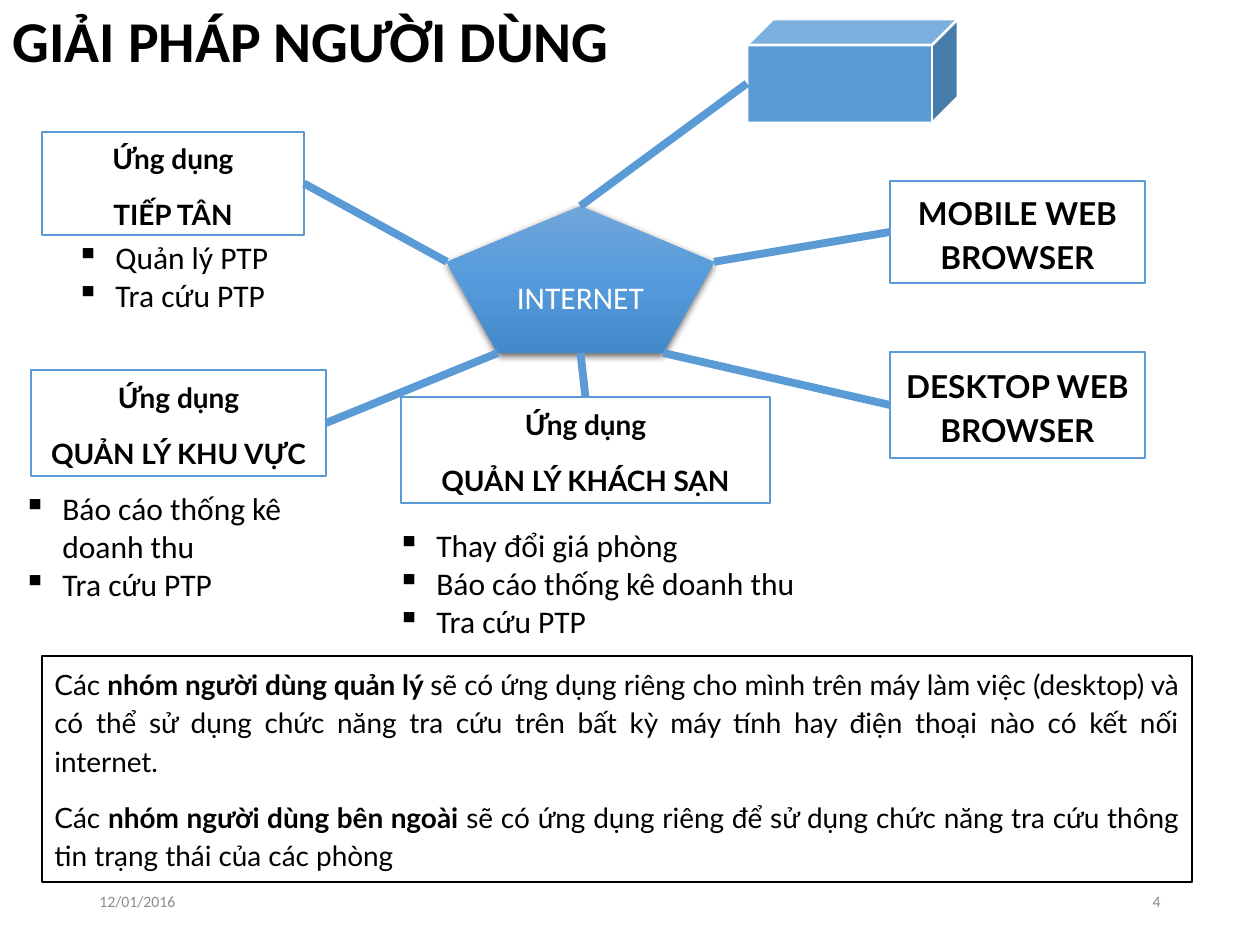
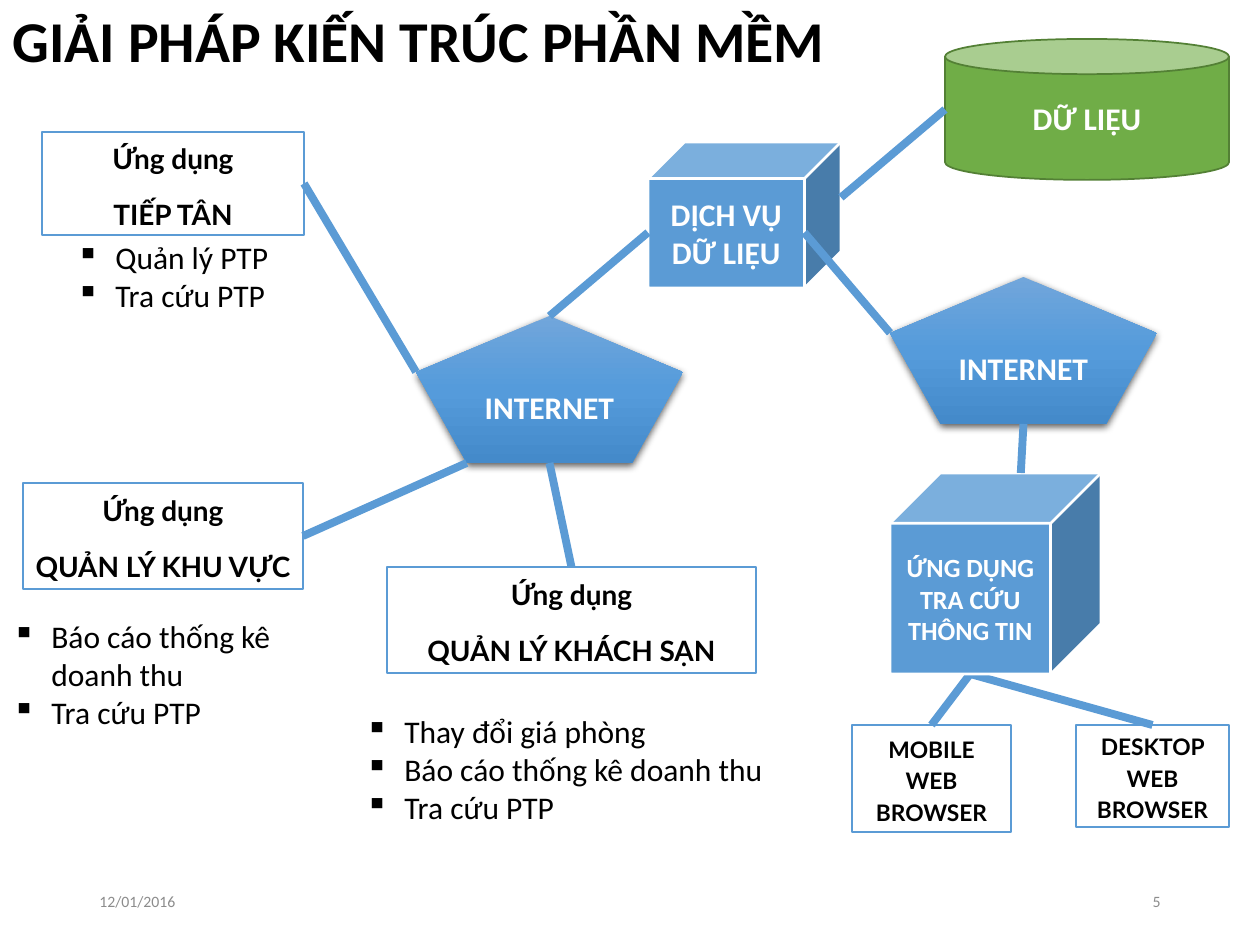
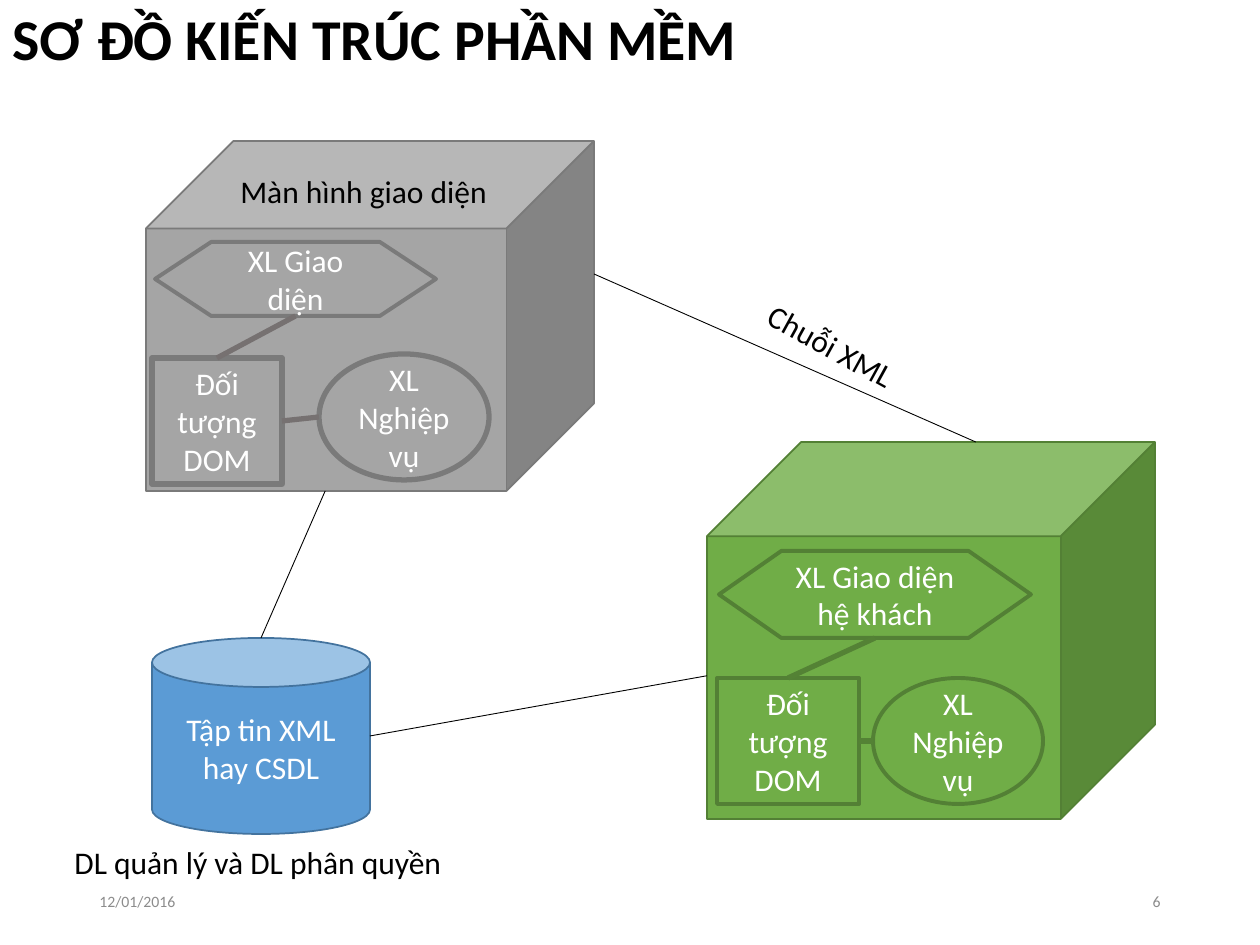
from collections import namedtuple

from lxml import etree
from pptx import Presentation
from pptx.dml.color import RGBColor
from pptx.enum.shapes import MSO_CONNECTOR, MSO_SHAPE
from pptx.enum.text import MSO_ANCHOR, MSO_AUTO_SIZE, PP_ALIGN
from pptx.oxml.ns import qn
from pptx.util import Pt

STRAIGHT = MSO_CONNECTOR.STRAIGHT
RECTANGLE, OVAL = MSO_SHAPE.RECTANGLE, MSO_SHAPE.OVAL
CUBE, CAN = MSO_SHAPE.CUBE, MSO_SHAPE.CAN
PENTAGON = MSO_SHAPE.REGULAR_PENTAGON
HEXAGON = MSO_SHAPE.FLOWCHART_PREPARATION
TOP, MIDDLE = MSO_ANCHOR.TOP, MSO_ANCHOR.MIDDLE
LEFT, CENTER = PP_ALIGN.LEFT, PP_ALIGN.CENTER
RIGHT, JUSTIFY = PP_ALIGN.RIGHT, PP_ALIGN.JUSTIFY
NO_FIT = MSO_AUTO_SIZE.NONE

BLACK = RGBColor(0x00, 0x00, 0x00)
WHITE = RGBColor(0xFF, 0xFF, 0xFF)
MUTED = RGBColor(0x8C, 0x8C, 0x8C)
BLUE = RGBColor(0x5B, 0x9B, 0xD5)
DARK_BLUE = RGBColor(0x43, 0x73, 0x9E)
GREEN = RGBColor(0x70, 0xAD, 0x47)
DARK_GREEN = RGBColor(0x53, 0x80, 0x35)
LINK_GREEN = RGBColor(0x54, 0x82, 0x35)
GRAY = RGBColor(0xA5, 0xA5, 0xA5)
DARK_GRAY = RGBColor(0x7A, 0x7A, 0x7A)
LINK_GRAY = RGBColor(0x76, 0x71, 0x71)
GLOSS = ((0, "71A6DB"), (50, "559BDB"), (100, "448ACA"))

BODY_FONT, CARD_FONT = "Calibri", "Lato"
SCALE = 914400 / 126
DATE = "12/01/2016"
BULLET_INDENT = 39

Box = namedtuple("Box", "left top width height")
Task = namedtuple("Task", "name duties")

RECEPTION = Task("TIẾP TÂN", ["Quản lý PTP", "Tra cứu PTP"])
AREA = Task("QUẢN LÝ KHU VỰC", ["Báo cáo thống kê doanh thu", "Tra cứu PTP"])
HOTEL = Task("QUẢN LÝ KHÁCH SẠN",
             ["Thay đổi giá phòng", "Báo cáo thống kê doanh thu", "Tra cứu PTP"])
MOBILE, DESKTOP = "MOBILE WEB BROWSER", "DESKTOP WEB BROWSER"


def emu(pixels):
    """Turn pixels into whole EMU."""
    return round(pixels * SCALE)


def place(box):
    """Give the four EMU lengths of a box."""
    return [emu(length) for length in box]


def site(box, across, down):
    """Give the point at these fractions of a box."""
    return box.left + box.width * across, box.top + box.height * down


def write(shape, paragraphs, size=18, font=BODY_FONT, color=BLACK, bold=False,
          align=LEFT, anchor=MIDDLE, line=None, gap=None, bullet=None, wrap=True):
    """Fill a shape with paragraphs; parts between asterisks are bold."""
    frame = shape.text_frame
    frame.word_wrap = wrap
    frame.auto_size = NO_FIT
    frame.vertical_anchor = anchor
    for index, text in enumerate(paragraphs):
        para = frame.add_paragraph() if index else frame.paragraphs[0]
        para.alignment = align
        if line:
            para.line_spacing = line
        if gap:
            para.space_before = para.space_after = Pt(gap)
        if bullet:
            properties = para._p.get_or_add_pPr()
            properties.set("marL", str(emu(BULLET_INDENT)))
            properties.set("indent", str(-emu(BULLET_INDENT)))
            etree.SubElement(properties, qn("a:buChar"), char=bullet)
        for part, words in enumerate(text.split("*")):
            if words:
                span = para.add_run()
                span.text = words
                span.font.size = Pt(size)
                span.font.name = font
                span.font.bold = bold or part % 2 == 1
                span.font.color.rgb = color


def label(page, box, paragraphs, **style):
    """Add a text box."""
    holder = page.shapes.add_textbox(*place(box))
    write(holder, paragraphs, **style)
    return holder


def solid(page, kind, box, fill, edge, weight, paragraphs=(), **style):
    """Add a filled and outlined shape with centred text."""
    shape = page.shapes.add_shape(kind, *place(box))
    shape.shadow.inherit = False
    shape.fill.solid()
    shape.fill.fore_color.rgb = fill
    shape.line.color.rgb = edge
    shape.line.width = Pt(weight)
    write(shape, paragraphs, **{"color": WHITE, "align": CENTER, **style})


def link(page, start, end, color=BLUE, weight=4.5):
    """Join two points with a straight line."""
    line = page.shapes.add_connector(STRAIGHT, *place(start + end))
    line.line.color.rgb = color
    line.line.width = Pt(weight)
    etree.SubElement(line._element.spPr, qn("a:effectLst"))


def card(page, box, paragraphs, size=16):
    """Add a white card with a blue edge."""
    solid(page, RECTANGLE, box, WHITE, BLUE, 1, paragraphs, size=size,
          font=CARD_FONT, color=BLACK, bold=True, line=1.15, gap=5)


def application(page, box, task, duties_box):
    """Add an application card and the list of its duties."""
    card(page, box, ["Ứng dụng", task.name])
    label(page, duties_box, task.duties, anchor=TOP, bullet="▪")


def blue_cube(page, box, paragraphs=(), size=18):
    """Add a blue cube with white edges."""
    solid(page, CUBE, box, BLUE, WHITE, 1.5, paragraphs, size=size, bold=True)


def internet(page, box, bold):
    """Add the glossy pentagon that stands for the network."""
    shape = page.shapes.add_shape(PENTAGON, *place(box))
    shape.line.fill.background()
    shape.fill.gradient()
    shape.fill.gradient_angle = 270
    properties = shape._element.spPr
    stops = properties.find(qn("a:gradFill")).find(qn("a:gsLst"))
    stops.clear()
    for position, color in GLOSS:
        stop = etree.SubElement(stops, qn("a:gs"), pos=str(position * 1000))
        etree.SubElement(stop, qn("a:srgbClr"), val=color)
    shape.shadow.inherit = False
    shadow = etree.SubElement(
        properties.find(qn("a:effectLst")), qn("a:outerShdw"), blurRad=str(Pt(4.5)),
        dist=str(Pt(1.5)), dir="5400000", algn="ctr", rotWithShape="0")
    tint = etree.SubElement(shadow, qn("a:srgbClr"), val="000000")
    etree.SubElement(tint, qn("a:alpha"), val="63000")
    write(shape, ["INTERNET"], color=WHITE, bold=bold, align=CENTER)


def module(page, box, parts, caption, fill, edge, link_color, weights):
    """Add a cube with its interface, object and business parts."""
    solid(page, CUBE, box, fill, edge, 1)
    screen, model, logic = [
        Box(box.left + part.left, box.top + part.top, part.width, part.height)
        for part in parts]
    rows = ((HEXAGON, screen, caption), (RECTANGLE, model, "Đối tượng DOM"),
            (OVAL, logic, "XL Nghiệp vụ"))
    for (kind, place_box, words), weight in zip(rows, weights):
        solid(page, kind, place_box, fill, edge, weight, [words])
    link(page, site(screen, 0.5, 1), site(model, 0.5, 0), link_color, 3)
    link(page, site(logic, 0, 0.5), site(model, 1, 0.5), link_color, 3)


def start_page(deck, title, number, title_box=Box(0, 3, 1086, 81)):
    """Add a slide with its title, date and number."""
    page = deck.slides.add_slide(deck.slide_layouts[5])
    heading = page.shapes.title
    heading.left, heading.top, heading.width, heading.height = place(title_box)
    write(heading, [title], size=33, bold=True, line=0.9)
    label(page, Box(87, 876, 283, 50), [DATE], size=9, color=MUTED)
    label(page, Box(890, 876, 283, 50), [str(number)], size=9, color=MUTED, align=RIGHT)
    return page


def user_page(deck):
    """Build the slide on the users' solution."""
    page = start_page(deck, "GIẢI PHÁP NGƯỜI DÙNG", 4)
    reception = Box(42, 132, 262, 103)
    area = Box(31, 370, 295, 106)
    hotel = Box(401, 397, 369, 106)
    mobile = Box(890, 181, 255, 102)
    desktop = Box(890, 352, 255, 106)
    network = Box(447, 206, 267, 147)
    server = Box(747, 19, 211, 104)
    application(page, reception, RECEPTION, Box(64, 232, 238, 89))
    application(page, area, AREA, Box(11, 483, 341, 127))
    application(page, hotel, HOTEL, Box(385, 520, 426, 127))
    solid(page, RECTANGLE, Box(42, 656, 1150, 226), WHITE, BLACK, 0.75, [
        "Các *nhóm người dùng quản lý *sẽ có ứng dụng riêng cho mình trên máy làm việc "
        "(desktop) và có thể sử dụng chức năng tra cứu trên bất kỳ máy tính hay điện "
        "thoại nào có kết nối internet.",
        "Các *nhóm người dùng bên ngoài *sẽ có ứng dụng riêng để sử dụng chức năng "
        "tra cứu thông tin trạng thái của các phòng"],
        size=16, font=CARD_FONT, color=BLACK, align=JUSTIFY, anchor=TOP, line=1.15, gap=5)
    card(page, mobile, [MOBILE], size=18)
    card(page, desktop, [DESKTOP], size=18)
    internet(page, network, bold=False)
    blue_cube(page, server)
    for start, end in (
            (site(network, 0.5, 0), site(server, 0, 0.62)),
            (site(network, 1, 0.38), site(mobile, 0, 0.5)),
            (site(network, 0.81, 1), site(desktop, 0, 0.5)),
            (site(network, 0.5, 1), site(hotel, 0.5, 0)),
            (site(network, 0, 0.38), site(reception, 1, 0.5)),
            (site(network, 0.19, 1), site(area, 1, 0.5))):
        link(page, start, end)


def software_page(deck):
    """Build the slide on the software solution."""
    page = start_page(deck, "GIẢI PHÁP KIẾN TRÚC PHẦN MỀM", 5)
    reception = Box(42, 132, 262, 103)
    area = Box(23, 483, 280, 106)
    hotel = Box(387, 567, 369, 106)
    desktop = Box(1076, 725, 153, 102)
    mobile = Box(852, 725, 159, 107)
    staff_network = Box(416, 316, 267, 147)
    guest_network = Box(890, 277, 267, 147)
    service = Box(648, 142, 193, 146)
    lookup = Box(890, 473, 211, 201)
    store = Box(945, 39, 284, 141)
    application(page, reception, RECEPTION, Box(64, 232, 238, 89))
    application(page, area, AREA, Box(0, 611, 341, 127))
    application(page, hotel, HOTEL, Box(353, 706, 426, 127))
    card(page, desktop, [DESKTOP], size=13)
    card(page, mobile, [MOBILE], size=13)
    for browser in (desktop, mobile):
        link(page, site(lookup, 0.38, 1), site(browser, 0.5, 0))
    internet(page, staff_network, bold=True)
    internet(page, guest_network, bold=True)
    blue_cube(page, service, ["DỊCH VỤ DỮ LIỆU"])
    blue_cube(page, lookup, ["ỨNG DỤNG TRA CỨU THÔNG TIN"], size=15)
    solid(page, CAN, store, GREEN, DARK_GREEN, 1, ["DỮ LIỆU"], bold=True)
    for start, end in (
            (site(staff_network, 0.5, 0), site(service, 0, 0.62)),
            (site(staff_network, 0.5, 1), site(hotel, 0.5, 0)),
            (site(staff_network, 0, 0.38), site(reception, 1, 0.5)),
            (site(staff_network, 0.19, 1), site(area, 1, 0.5)),
            (site(guest_network, 0.5, 1), site(lookup, 0.62, 0)),
            (site(service, 0.81, 0.62), site(guest_network, 0, 0.38)),
            (site(service, 1, 0.38), site(store, 0, 0.5))):
        link(page, start, end)


def diagram_page(deck):
    """Build the slide with the software diagram."""
    page = start_page(deck, "SƠ ĐỒ KIẾN TRÚC PHẦN MỀM", 6, Box(0, 0, 1086, 83))
    store = Box(152, 638, 218, 196)
    screen = Box(146, 141, 448, 350)
    client = Box(707, 442, 448, 377)
    solid(page, CAN, store, BLUE, DARK_BLUE, 1, ["Tập tin XML hay CSDL"])
    module(page, screen,
           (Box(9, 101, 281, 74), Box(6, 217, 130, 126), Box(173, 213, 170, 126)),
           "XL Giao diện", GRAY, DARK_GRAY, LINK_GRAY, (2.25, 3, 3))
    module(page, client,
           (Box(12, 109, 312, 87), Box(10, 236, 142, 126), Box(166, 236, 170, 126)),
           "XL Giao diện hệ khách", GREEN, DARK_GREEN, LINK_GREEN, (2.25, 2.25, 2.25))
    for start, end in (
            (site(store, 0.5, 0), site(screen, 0.4, 1)),
            (site(store, 1, 0.5), site(client, 0, 0.62)),
            (site(client, 0.6, 0), site(screen, 1, 0.38))):
        link(page, start, end, BLACK, 0.5)
    channel = label(page, Box(750, 321, 165, 50), ["Chuỗi XML"], anchor=TOP, wrap=False)
    channel.rotation = 28.9
    label(page, Box(228, 166, 275, 50), ["Màn hình giao diện"], anchor=TOP, wrap=False)
    label(page, Box(62, 837, 398, 50), ["DL quản lý và DL phân quyền"],
          anchor=TOP, wrap=False)


def main():
    """Build and save the deck."""
    deck = Presentation()
    deck.slide_width, deck.slide_height = emu(1260), emu(945)
    user_page(deck)
    software_page(deck)
    diagram_page(deck)
    deck.save("out.pptx")


main()
